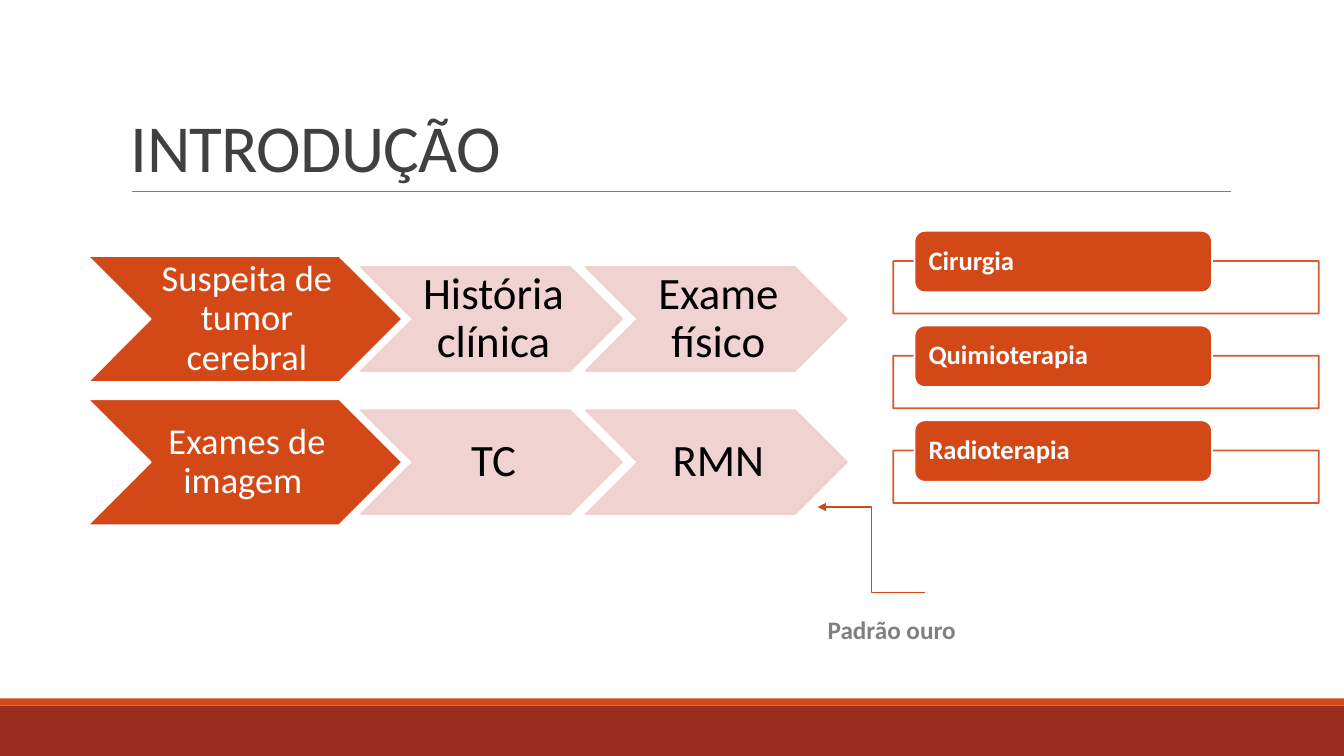
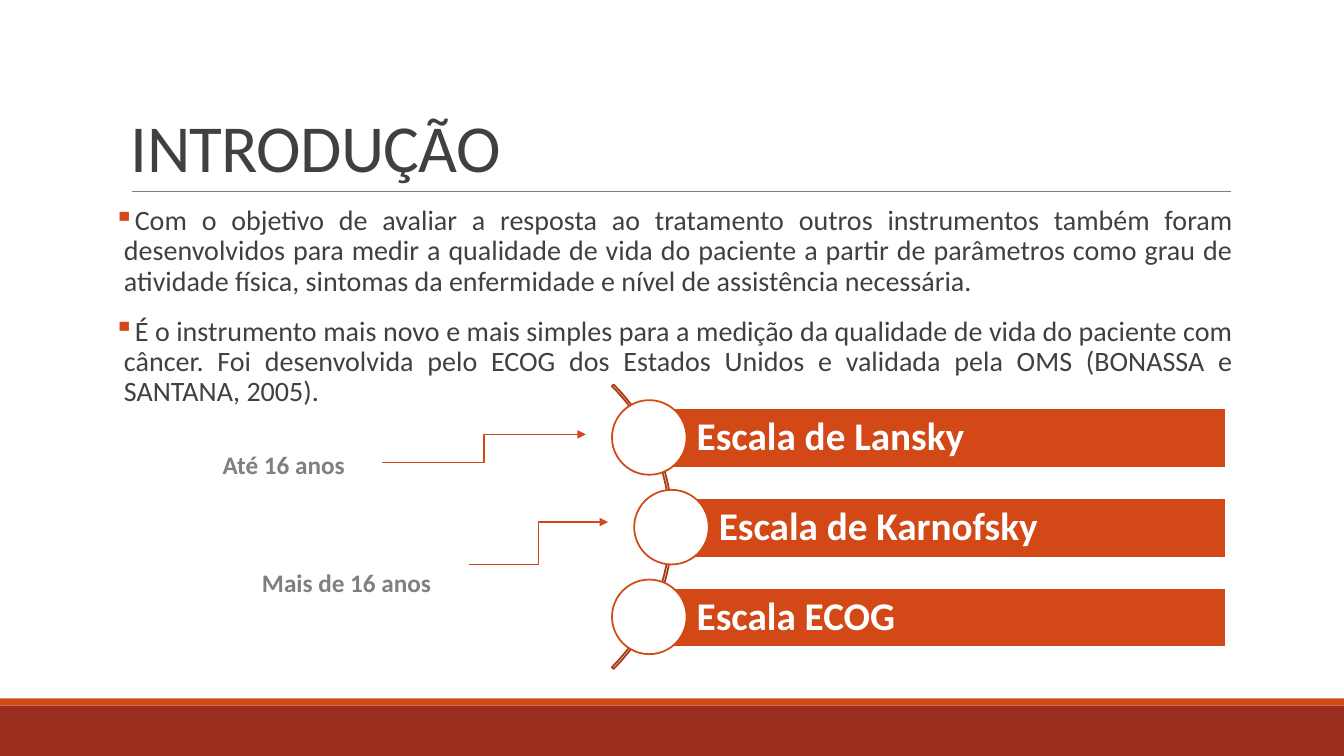
from lxml import etree
from pptx import Presentation
from pptx import util as u
from pptx.dml.color import RGBColor
from pptx.enum import shapes, text
from pptx.oxml.ns import qn

W, H = 13.33, 7.5
FONT = "Calibri"
ORANGE = RGBColor(0xD3, 0x48, 0x17)
BRICK = RGBColor(0x9B, 0x2D, 0x1F)
RUST = RGBColor(0xA9, 0x3A, 0x12)
PINK = RGBColor(0xEF, 0xCF, 0xCC)
DARK = RGBColor(0x40, 0x40, 0x40)
GREY = RGBColor(0x80, 0x80, 0x80)
BLACK = RGBColor(0, 0, 0)
WHITE = RGBColor(0xFF, 0xFF, 0xFF)

SHAPE = shapes.MSO_SHAPE
LEFT, CENTER, JUSTIFY = (text.PP_ALIGN.LEFT, text.PP_ALIGN.CENTER,
                         text.PP_ALIGN.JUSTIFY)
TOP, MIDDLE, BOTTOM = (text.MSO_ANCHOR.TOP, text.MSO_ANCHOR.MIDDLE,
                       text.MSO_ANCHOR.BOTTOM)

TITLE = "INTRODUÇÃO"
PATHWAY = [
    ("Suspeita de tumor cerebral", ["História clínica", "Exame físico"]),
    ("Exames de imagem ", ["TC", "RMN"]),
]
TREATMENTS = ["Cirurgia", "Quimioterapia", "Radioterapia"]
GOLD_STANDARD = ("Padrão ouro", (8.11, 6.05, 2.95, 0.4),
                 (9.18, 5.88, 8.11, 5.03))
BODY = [
    "Com o objetivo de avaliar a resposta ao tratamento outros instrumentos "
    "também foram desenvolvidos para medir a qualidade de vida do paciente a "
    "partir de parâmetros como grau de atividade física, sintomas da "
    "enfermidade e nível de assistência necessária. ",
    "É o instrumento mais novo e mais simples para a medição da qualidade de "
    "vida do paciente com câncer. Foi desenvolvida pelo ECOG dos Estados "
    "Unidos e validada pela OMS (BONASSA e SANTANA, 2005).",
]
SCALES = [("Escala de Lansky", 0), ("Escala de Karnofsky", 0.22),
          ("Escala ECOG", 0)]
AGES = [
    ("Até 16 anos", (2.11, 4.41, 4.18, 0.4), (3.79, 4.59, 5.81, 4.31)),
    ("Mais de 16 anos", (2.5, 5.58, 2.45, 0.4), (4.65, 5.6, 6.03, 5.18)),
]


def inches(values):
    return [u.Inches(v) for v in values]


def write(sp, paragraphs, size, color, bold=False, align=LEFT, anchor=MIDDLE,
          insets=(0.1, 0.05, 0.1, 0.05), spacing=0.9):
    tf = sp.text_frame
    tf.word_wrap = True
    tf.vertical_anchor = anchor
    (tf.margin_left, tf.margin_top,
     tf.margin_right, tf.margin_bottom) = inches(insets)
    for i, content in enumerate(paragraphs):
        p = tf.add_paragraph() if i else tf.paragraphs[0]
        p.text = content
        p.alignment = align
        p.line_spacing = spacing
        p.font.name = FONT
        p.font.size = u.Pt(size)
        p.font.bold = bold
        p.font.color.rgb = color
    return tf


def add_text(s, box, paragraphs, size, color, **style):
    return write(s.shapes.add_textbox(*inches(box)), paragraphs, size, color,
                 **style)


def add_shape(s, kind, box, fill=None, line=None, alpha=None):
    sp = s.shapes.add_shape(kind, *inches(box))
    sp.shadow.inherit = False
    if fill is None:
        sp.fill.background()
    else:
        sp.fill.solid()
        sp.fill.fore_color.rgb = fill
    if line is None:
        sp.line.fill.background()
    else:
        sp.line.color.rgb = line
        sp.line.width = u.Pt(1.25)
    if alpha:
        for color in sp._element.spPr.iter(qn("a:srgbClr")):
            etree.SubElement(color, qn("a:alpha"), val=str(alpha * 1000))
    return sp


def add_line(s, kind, ends, color, width, arrow=False):
    line = s.shapes.add_connector(kind, *inches(ends))
    line.line.color.rgb = color
    line.line.width = u.Pt(width)
    if arrow:
        etree.SubElement(line.line._get_or_add_ln(), qn("a:tailEnd"),
                         type="triangle")
    etree.SubElement(line._element.spPr, qn("a:effectLst"))


def add_note(s, label, box, ends):
    add_text(s, box, [label], 18, GREY, bold=True, anchor=TOP, spacing=1)
    add_line(s, shapes.MSO_CONNECTOR.ELBOW, ends, ORANGE, 1, arrow=True)


def new_slide(prs):
    s = prs.slides.add_slide(prs.slide_layouts[6])
    add_shape(s, SHAPE.RECTANGLE, (0, 7, W, 0.5), BRICK)
    add_shape(s, SHAPE.RECTANGLE, (0, 6.93, W, 0.07), ORANGE)
    add_line(s, shapes.MSO_CONNECTOR.STRAIGHT, (1.31, 1.9, 12.21, 1.9),
             GREY, 0.5)
    tf = add_text(s, (1.2, 0.31, 11, 1.59), [TITLE], 48, DARK,
                  anchor=BOTTOM, spacing=0.85)
    tf.paragraphs[0].runs[0].font._element.set("spc", "-50")
    return s


def add_pathway(s):
    style = dict(align=CENTER, insets=(0.04, 0.02, 0, 0.02))
    for row, (lead, steps) in enumerate(PATHWAY):
        y = 2.54 + 1.42 * row
        sp = add_shape(s, SHAPE.CHEVRON, (0.87, y, 3.12, 1.25), ORANGE, WHITE)
        write(sp, [lead], 26, WHITE, **style)
        for col, step in enumerate(steps):
            box = (3.58 + 2.23 * col, y + 0.11, 2.59, 1.03)
            sp = add_shape(s, SHAPE.CHEVRON, box, PINK, PINK, alpha=90)
            write(sp, [step], 32, BLACK, **style)


def add_treatments(s):
    for row, name in enumerate(TREATMENTS):
        y = 2.29 + 0.94 * row
        add_shape(s, SHAPE.RECTANGLE, (8.86, y + 0.3, 4.22, 0.52),
                  WHITE, ORANGE, alpha=90)
        tag = add_shape(s, SHAPE.ROUNDED_RECTANGLE, (9.07, y, 2.95, 0.61),
                        ORANGE, WHITE)
        write(tag, [name], 19, WHITE, bold=True, insets=(0.11, 0, 0.11, 0))


def add_body(s):
    tf = add_text(s, (1.13, 2, 11.1, 4.87), BODY, 20, DARK, align=JUSTIFY,
                  anchor=TOP, insets=(0, 0.05, 0, 0.05))
    for p in tf.paragraphs:
        p.space_before, p.space_after = u.Pt(12), u.Pt(2)
        pPr = p._p.get_or_add_pPr()
        indent = u.Inches(0.1)
        pPr.set("marL", str(indent))
        pPr.set("indent", str(-indent))
        color = etree.Element(qn("a:buClr"))
        etree.SubElement(color, qn("a:srgbClr"), val=str(ORANGE))
        bullet = etree.Element(qn("a:buChar"), char="▪")
        defaults = pPr.find(qn("a:defRPr"))
        defaults.addprevious(color)
        defaults.addprevious(bullet)


def add_scales(s):
    arc = add_shape(s, SHAPE.BLOCK_ARC, (2.68, 3.23, 3.99, 3.99), line=RUST)
    for i, value in enumerate((189, 27, 0.006)):
        arc.adjustments[i] = value
    for row, (name, shift) in enumerate(SCALES):
        x, y = 6.44 + shift, 4.05 + 0.89 * row
        bar = add_shape(s, SHAPE.RECTANGLE, (x, y, 12.16 - x, 0.59),
                        ORANGE, WHITE)
        write(bar, [name], 28, WHITE, bold=True,
              insets=(0.47, 0.08, 0.08, 0.08))
        add_shape(s, SHAPE.OVAL, (x - 0.37, y - 0.08, 0.74, 0.74),
                  WHITE, ORANGE)


def main():
    prs = Presentation()
    prs.slide_width, prs.slide_height = inches((W, H))

    s = new_slide(prs)
    add_pathway(s)
    add_note(s, *GOLD_STANDARD)
    add_treatments(s)

    s = new_slide(prs)
    add_body(s)
    add_scales(s)
    for age in AGES:
        add_note(s, *age)

    prs.save("out.pptx")


if __name__ == "__main__":
    main()
